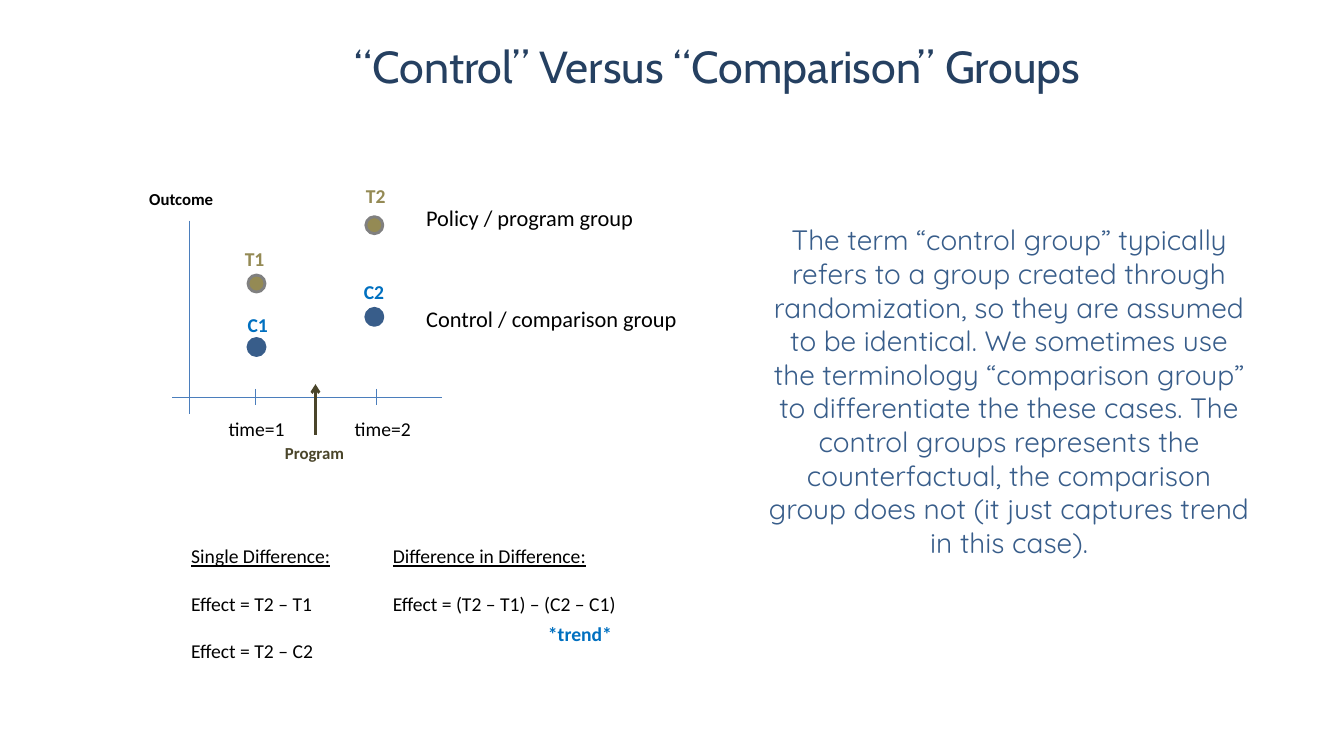
from lxml import etree
from pptx import Presentation, util as u
from pptx.dml.color import RGBColor
from pptx.enum import shapes, text
from pptx.oxml.ns import qn

NAVY, BLUE, TAN, BROWN, SKY, BLACK = "254061", "385D8A", "948A54", "4A452A", "0070C0", "000000"


def style(tf, size, color, font="Calibri", bold=False):
    for p in tf.paragraphs:
        for r in p.runs:
            r.font.name, r.font.size, r.font.bold = font, u.Pt(size), bold
            r.font.color.rgb = RGBColor.from_string(color)


def line(x1, y1, x2, y2, color="4B7EBC", width=0.75):
    c = s.shapes.add_connector(shapes.MSO_CONNECTOR.STRAIGHT, u.Cm(x1), u.Cm(y1), u.Cm(x2), u.Cm(y2))
    c.line.color.rgb = RGBColor.from_string(color)
    c.line.width = u.Pt(width)
    etree.SubElement(c._element.spPr, qn("a:effectLst"))
    return c


prs = Presentation()
prs.slide_width, prs.slide_height = u.Cm(33.87), u.Cm(19.05)
s = prs.slides.add_slide(prs.slide_layouts[5])

# Title
title = s.shapes.title
title.left, title.top, title.width, title.height = u.Cm(8.69), u.Cm(0.84), u.Cm(19.89), u.Cm(1.63)
tf = title.text_frame
tf.text = "“Control” Versus “Comparison” Groups"
tf.vertical_anchor = text.MSO_ANCHOR.TOP
tf.paragraphs[0].alignment = text.PP_ALIGN.LEFT
style(tf, 32, NAVY, "Cabin")

# Axes and time ticks
line(4.78, 5.56, 4.78, 10.44)
line(4.34, 10.01, 11.13, 10.01)
for x in (6.45, 9.5):
    line(x, 9.8, x, 10.21)

# Program arrow
arrow = line(7.95, 10.95, 7.95, 9.68, BROWN, 2)
etree.SubElement(arrow.line._get_or_add_ln(), qn("a:tailEnd"), type="arrow")

# Data points
for x, y, fill, edge in [
    (6.25, 8.53, BLUE, BLUE),
    (9.22, 7.77, BLUE, BLUE),
    (6.25, 6.93, TAN, "808080"),
    (9.22, 5.46, TAN, "808080"),
]:
    sp = s.shapes.add_shape(shapes.MSO_SHAPE.OVAL, u.Cm(x), u.Cm(y), u.Cm(0.43), u.Cm(0.43))
    sp.shadow.inherit = False
    sp.fill.solid()
    sp.fill.fore_color.rgb = RGBColor.from_string(fill)
    sp.line.color.rgb = RGBColor.from_string(edge)
    sp.line.width = u.Pt(2)

# Chart labels: text, left, top, width, height, size, colour, bold
for label, x, y, w, h, size, color, bold in [
    ("Outcome", 3.51, 4.62, 2.13, 0.76, 12, BLACK, True),
    ("time=1", 5.51, 10.39, 2.01, 0.86, 14, BLACK, False),
    ("time=2", 8.69, 10.39, 2.01, 0.86, 14, BLACK, False),
    ("Program", 6.93, 11.02, 2.03, 0.76, 12, BROWN, True),
    ("Policy / program group", 10.49, 5.03, 5.79, 0.94, 16, BLACK, False),
    ("Control / comparison group", 10.49, 7.57, 6.91, 0.94, 16, BLACK, False),
    ("T1", 5.92, 6.1, 1.02, 0.86, 14, TAN, True),
    ("T2", 8.97, 4.52, 1.02, 0.86, 14, TAN, True),
    ("C1", 5.99, 7.77, 1.04, 0.86, 14, SKY, True),
    ("C2", 8.92, 6.93, 1.04, 0.86, 14, SKY, True),
    ("*trend*", 13.56, 15.54, 2.13, 0.86, 14, SKY, True),
]:
    tf = s.shapes.add_textbox(u.Cm(x), u.Cm(y), u.Cm(w), u.Cm(h)).text_frame
    tf.word_wrap = False
    tf.text = label
    style(tf, size, color, bold=bold)

# Effect formulas in two tabbed columns
tf = s.shapes.add_textbox(u.Cm(4.57), u.Cm(13.59), u.Cm(11.33), u.Cm(3.25)).text_frame
tf.word_wrap = True
rows = [
    ("Single Difference:", "Difference in Difference:"),
    ("Effect = T2 – T1", "Effect = (T2 – T1) – (C2 – C1)"),
    ("Effect = T2 – C2",),
]
for i, row in enumerate(rows):
    p = tf.add_paragraph() if i else tf.paragraphs[0]
    tabs = etree.SubElement(p._p.get_or_add_pPr(), qn("a:tabLst"))
    etree.SubElement(tabs, qn("a:tab"), pos=str(u.Cm(5.08)), algn="l")
    if i:
        p.space_before = u.Pt(17)
    for j, cell in enumerate(row):
        if j:
            p.add_run().text = "\t"
        r = p.add_run()
        r.text = cell
        r.font.underline = i == 0
style(tf, 14, BLACK)

# Explanation
tf = s.shapes.add_textbox(u.Cm(19.08), u.Cm(5.49), u.Cm(12.7), u.Cm(9.65)).text_frame
tf.word_wrap = True
tf.text = (
    "The term “control group” typically refers to a group created through randomization, "
    "so they are assumed to be identical. We sometimes use the terminology “comparison group” "
    "to differentiate the these cases. The control groups represents the counterfactual, "
    "the comparison group does not (it just captures trend in this case)."
)
tf.paragraphs[0].alignment = text.PP_ALIGN.CENTER
style(tf, 20, BLUE, "Quicksand")

prs.save("out.pptx")
